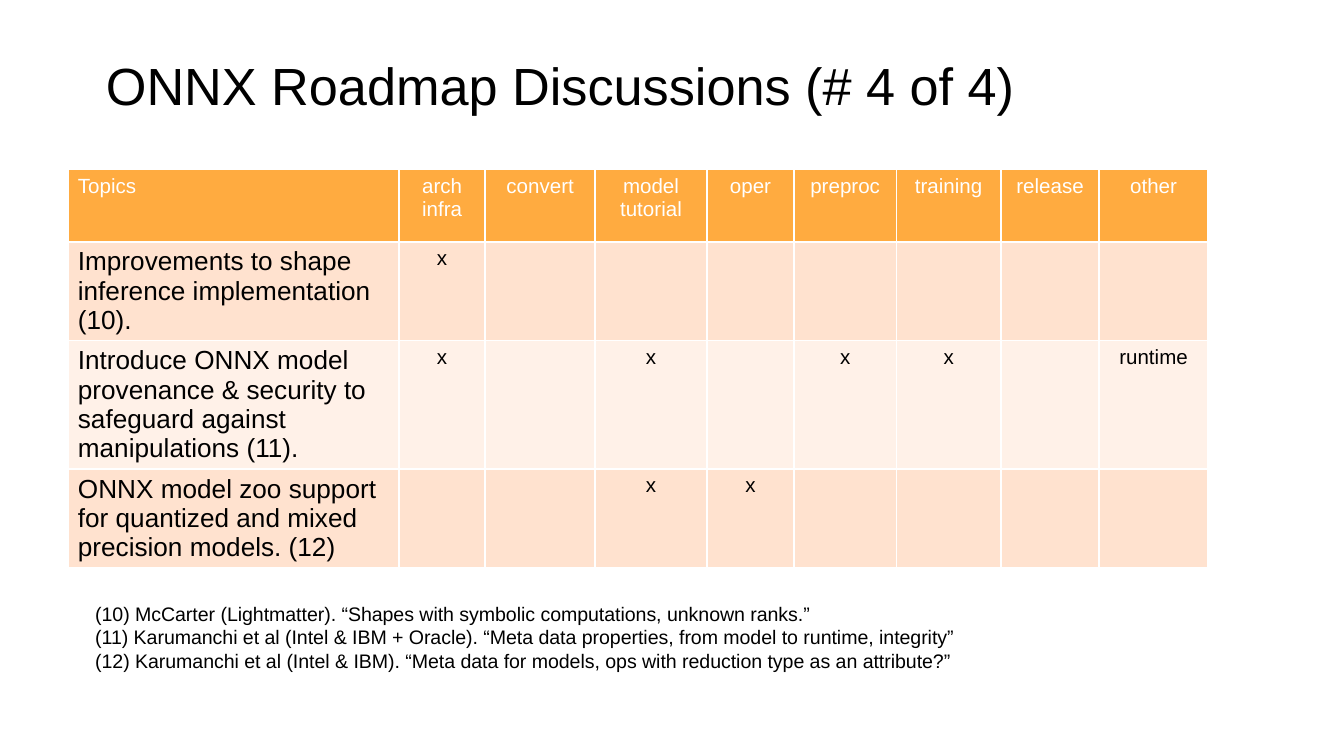
"""Build the ONNX roadmap discussions slide with its topic table and notes."""
import dataclasses

import pptx
import pptx.dml.color
import pptx.enum.text
import pptx.util

Inches = pptx.util.Inches
Pt = pptx.util.Pt
RGB = pptx.dml.color.RGBColor
Align = pptx.enum.text.PP_ALIGN
Fit = pptx.enum.text.MSO_AUTO_SIZE

BLACK = RGB(0x00, 0x00, 0x00)
WHITE = RGB(0xFF, 0xFF, 0xFF)
ORANGE = RGB(0xFF, 0xAB, 0x40)
PEACH = RGB(0xFF, 0xE2, 0xCF)
CREAM = RGB(0xFF, 0xF1, 0xE8)


@dataclasses.dataclass
class Row:
    topic: str
    marks: dict[str, str]
    height: float
    fill: RGB


@dataclasses.dataclass
class Note:
    lines: list[str]
    place: tuple[float, float, float, float]
    size: float
    frame: dict


HEADS = {
    "Topics": 2.46, "arch infra": 0.64, "convert": 0.82,
    "model tutorial": 0.83, "oper": 0.65, "preproc": 0.76,
    "training": 0.78, "release": 0.73, "other": 0.81,
}
ROWS = [
    Row("Topics", {head: head for head in HEADS}, 0.54, ORANGE),
    Row("Improvements to shape inference implementation (10).",
        {"arch infra": "x"}, 0.73, PEACH),
    Row("Introduce ONNX model provenance & security to safeguard against "
        "manipulations (11).",
        {"arch infra": "x", "model tutorial": "x", "preproc": "x",
         "training": "x", "other": "runtime"}, 0.95, CREAM),
    Row("ONNX model zoo support for quantized and mixed precision models. (12)",
        {"model tutorial": "x", "oper": "x"}, 0.73, PEACH),
]
NOTES = [
    Note(["ONNX Roadmap Discussions (# 4 of 4)"], (0.69, 0.3, 8.62, 0.63), 28,
         {"word_wrap": True, "margin_top": Inches(0.1),
          "margin_bottom": Inches(0.1)}),
    Note(["(10) McCarter (Lightmatter). “Shapes with symbolic computations, "
          "unknown ranks.”",
          "(11) Karumanchi et al (Intel & IBM + Oracle). “Meta data properties, "
          "from model to runtime, integrity”",
          "(12) Karumanchi et al (Intel & IBM). “Meta data for models, ops with "
          "reduction type as an attribute?”"],
         (0.61, 4.43, 6.72, 0.63), 10.5,
         {"word_wrap": False, "auto_size": Fit.SHAPE_TO_FIT_TEXT}),
]
PADS = {
    "margin_left": Inches(0.07), "margin_right": Inches(0.07),
    "margin_top": Inches(0.04), "margin_bottom": Inches(0.04),
}


def apply(target, values: dict) -> None:
    for name, value in values.items():
        setattr(target, name, value)


def style(para, size: float, color: RGB) -> None:
    apply(para.font, {"name": "Arial", "size": Pt(size), "bold": False})
    para.font.color.rgb = color


def write(slide, note: Note) -> None:
    box = slide.shapes.add_textbox(*map(Inches, note.place))
    frame = box.text_frame
    frame.text = "\n".join(note.lines)
    apply(frame, note.frame)
    for para in frame.paragraphs:
        style(para, note.size, BLACK)


def paint(cell, text: str, row: Row, lead: bool) -> None:
    top = row is ROWS[0]
    cell.text = text
    apply(cell, PADS)
    para = cell.text_frame.paragraphs[0]
    para.alignment = Align.LEFT if lead else Align.CENTER
    style(para, 14 if lead and not top else 11, WHITE if top else BLACK)
    cell.fill.solid()
    cell.fill.fore_color.rgb = row.fill


def grid(slide) -> None:
    high = sum(row.height for row in ROWS)
    place = map(Inches, (0.51, 1.26, sum(HEADS.values()), high))
    table = slide.shapes.add_table(len(ROWS), len(HEADS), *place).table
    for col, width in zip(table.columns, HEADS.values()):
        col.width = Inches(width)
    for r, row in enumerate(ROWS):
        table.rows[r].height = Inches(row.height)
        for c, head in enumerate(HEADS):
            text = row.marks.get(head, "") if c else row.topic
            paint(table.cell(r, c), text, row, c == 0)


def main() -> None:
    deck = pptx.Presentation()
    wide = Inches(10)
    apply(deck, {"slide_width": wide, "slide_height": wide * 9 // 16})
    slide = deck.slides.add_slide(deck.slide_layouts[6])
    grid(slide)
    for note in NOTES:
        write(slide, note)
    deck.save("out.pptx")


if __name__ == "__main__":
    main()
